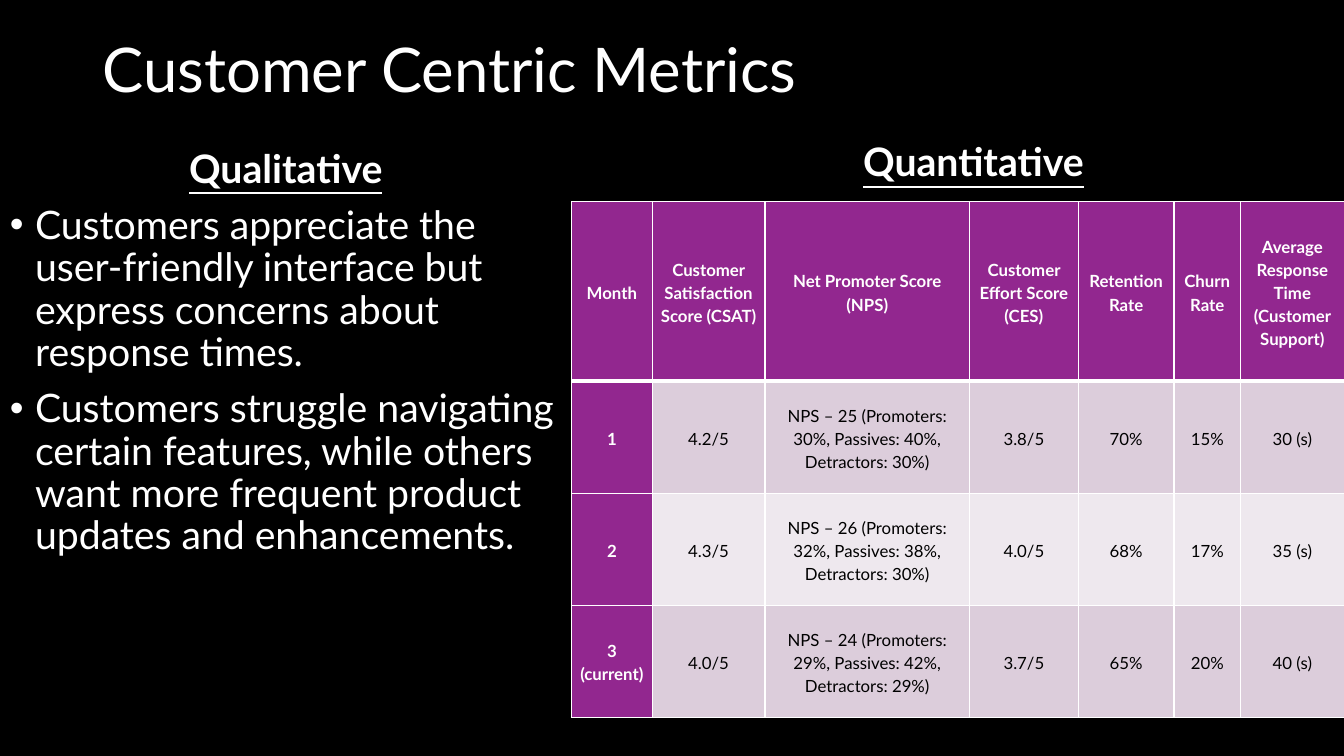
from dataclasses import dataclass

from lxml import etree
from pptx import Presentation
from pptx.dml.color import RGBColor
from pptx.enum.text import MSO_ANCHOR, PP_ALIGN
from pptx.oxml.ns import qn
from pptx.util import Inches, Pt

MIDDLE, TOP = MSO_ANCHOR.MIDDLE, MSO_ANCHOR.TOP
LEFT, CENTER = PP_ALIGN.LEFT, PP_ALIGN.CENTER
SLIDE_WIDTH, SLIDE_HEIGHT = Inches(13.33), Inches(7.5)


@dataclass(frozen=True)
class Theme:
    font: str = "Lato"
    background: str = "000000"
    light: str = "FFFFFF"
    dark: str = "000000"
    accent: str = "92278F"
    bands: tuple = ("DCCDDB", "EEE8EE")
    title_size: int = 44
    body_size: int = 28
    table_size: int = 12


THEME = Theme()

# Left, top, width and height in percent of the slide
TITLE_AREA = (6.9, 0, 86.25, 19.33)
QUALITATIVE_AREA = (0, 19.07, 42.53, 63.47)
QUANTITATIVE_AREA = (44.86, 18.27, 55.14, 10)
METRICS_AREA = (42.53, 26.67, 57.5, 68.2)

FEEDBACK = [
    "Customers appreciate the user-friendly interface but express concerns "
    "about response times.",
    "Customers struggle navigating certain features, while others want more "
    "frequent product updates and enhancements.",
]
METRICS = [
    ["Month", "Customer Satisfaction Score (CSAT)", "Net Promoter Score (NPS)",
     "Customer Effort Score (CES)", "Retention Rate", "Churn Rate",
     "Average Response Time (Customer Support)"],
    ["1", "4.2/5", "NPS – 25 (Promoters: 30%, Passives: 40%, Detractors: 30%)",
     "3.8/5", "70%", "15%", "30 (s)"],
    ["2", "4.3/5", "NPS – 26 (Promoters: 32%, Passives: 38%, Detractors: 30%)",
     "4.0/5", "68%", "17%", "35 (s)"],
    ["3 (current)", "4.0/5",
     "NPS – 24 (Promoters: 29%, Passives: 42%, Detractors: 29%)",
     "3.7/5", "65%", "20%", "40 (s)"],
]
COLUMN_WEIGHTS = [0.8, 1.12, 2.03, 1.08, 0.95, 0.66, 1.03]
ROW_WEIGHTS = [1.78, 1.11, 1.11, 1.11]


def place(area):
    left, top, width, height = (share / 100 for share in area)
    return (int(left * SLIDE_WIDTH), int(top * SLIDE_HEIGHT),
            int(width * SLIDE_WIDTH), int(height * SLIDE_HEIGHT))


def style(paragraph, size, color=THEME.light, bold=False, underline=False,
          align=LEFT, line_spacing=0.9):
    paragraph.alignment = align
    paragraph.line_spacing = line_spacing
    for run in paragraph.runs:
        font = run.font
        font.name, font.size = THEME.font, Pt(size)
        font.bold, font.underline = bold, underline
        font.color.rgb = RGBColor.from_string(color)


def add_text(slide, area, text, anchor=TOP, **look):
    frame = slide.shapes.add_textbox(*place(area)).text_frame
    frame.word_wrap = True
    frame.vertical_anchor = anchor
    frame.text = text
    style(frame.paragraphs[0], **look)
    return frame


def add_heading(slide, area, text):
    return add_text(slide, area, text, size=THEME.body_size, bold=True,
                    underline=True, align=CENTER)


def add_bullet(frame, text):
    paragraph = frame.add_paragraph()
    paragraph.text = text
    properties = paragraph._p.get_or_add_pPr()
    properties.set("marL", str(Inches(0.25)))
    properties.set("indent", str(-Inches(0.25)))
    etree.SubElement(properties, qn("a:buFont"), typeface="Arial")
    etree.SubElement(properties, qn("a:buChar"), char="•")
    paragraph.space_before = Pt(10)
    style(paragraph, THEME.body_size)


def set_borders(cell, top, bottom):
    properties = cell._tc.get_or_add_tcPr()
    for side, points in (("L", 1), ("R", 1), ("T", top), ("B", bottom)):
        line = etree.SubElement(properties, qn(f"a:ln{side}"), w=str(Pt(points)))
        fill = etree.SubElement(line, qn("a:solidFill"))
        etree.SubElement(fill, qn("a:srgbClr"), val=THEME.light)


def fill_cell(cell, text, row, column):
    emphasis = row == 0 or column == 0
    cell.text = text
    cell.vertical_anchor = MIDDLE
    cell.margin_left = cell.margin_right = Inches(0.07)
    cell.margin_top = cell.margin_bottom = 0
    paragraph = cell.text_frame.paragraphs[0]
    paragraph.space_after = Pt(8)
    style(paragraph, THEME.table_size, THEME.light if emphasis else THEME.dark,
          bold=emphasis, align=CENTER, line_spacing=1.15)
    # Borders come before the fill; a thick rule closes the header
    set_borders(cell, top=3 if row == 1 else 1, bottom=3 if row == 0 else 1)
    color = THEME.accent if emphasis else THEME.bands[(row - 1) % 2]
    cell.fill.solid()
    cell.fill.fore_color.rgb = RGBColor.from_string(color)


def add_metrics_table(slide, area, rows):
    left, top, width, height = place(area)
    table = slide.shapes.add_table(len(rows), len(rows[0]),
                                   left, top, width, height).table
    for column, weight in zip(table.columns, COLUMN_WEIGHTS):
        column.width = int(width * weight / sum(COLUMN_WEIGHTS))
    for row, weight in zip(table.rows, ROW_WEIGHTS):
        row.height = int(height * weight / sum(ROW_WEIGHTS))
    for r, values in enumerate(rows):
        for c, value in enumerate(values):
            fill_cell(table.cell(r, c), value, r, c)


def main():
    deck = Presentation()
    deck.slide_width, deck.slide_height = SLIDE_WIDTH, SLIDE_HEIGHT
    slide = deck.slides.add_slide(deck.slide_layouts[6])
    slide.background.fill.solid()
    slide.background.fill.fore_color.rgb = RGBColor.from_string(THEME.background)

    # Title
    add_text(slide, TITLE_AREA, "Customer Centric Metrics", anchor=MIDDLE,
             size=THEME.title_size)

    # Qualitative feedback
    qualitative = add_heading(slide, QUALITATIVE_AREA, "Qualitative")
    for comment in FEEDBACK:
        add_bullet(qualitative, comment)

    # Quantitative metrics
    add_heading(slide, QUANTITATIVE_AREA, "Quantitative")
    add_metrics_table(slide, METRICS_AREA, METRICS)

    deck.save("out.pptx")


if __name__ == "__main__":
    main()
